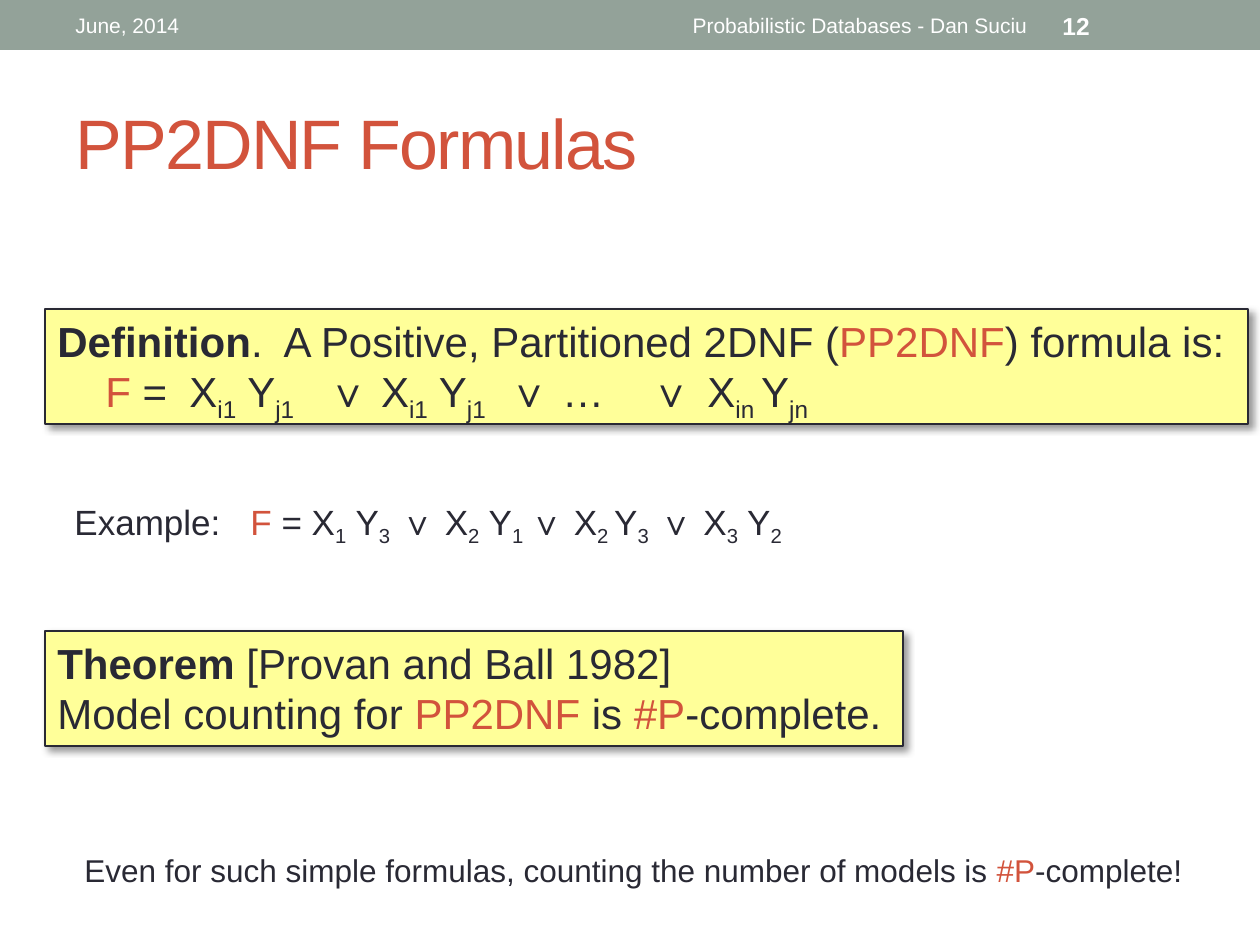
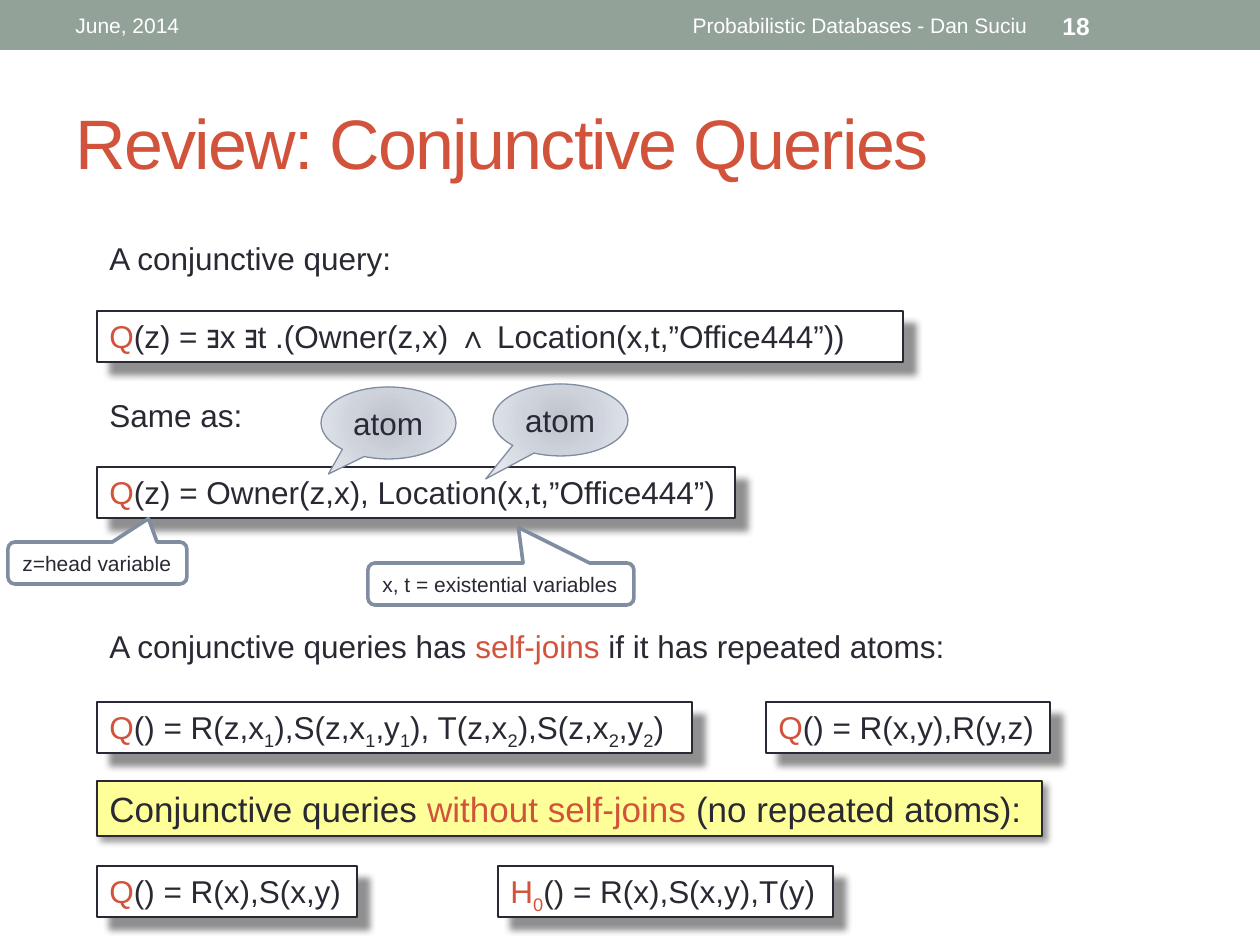
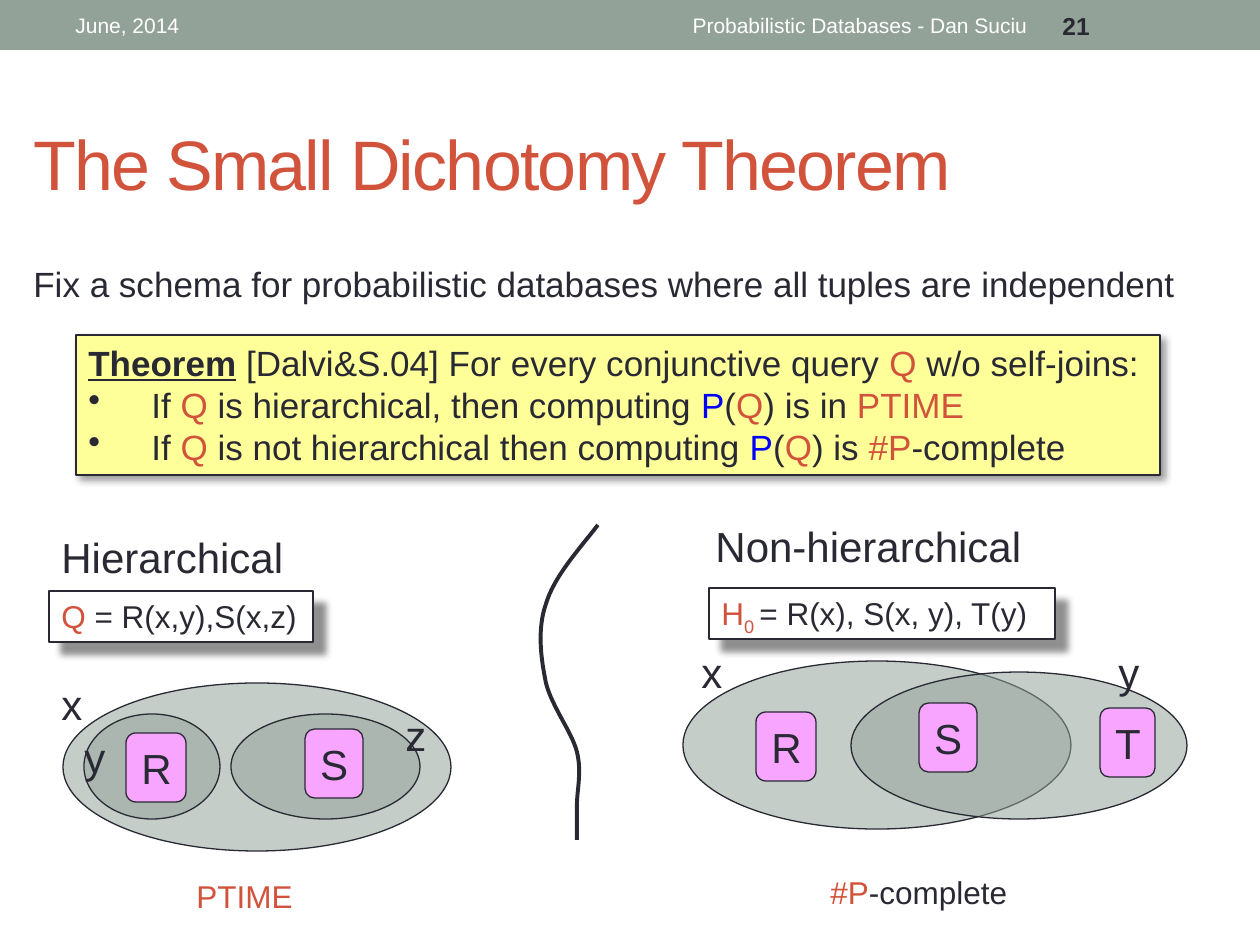
from pptx import Presentation
from pptx.dml.color import RGBColor
from pptx.enum.shapes import MSO_SHAPE as SHAPE
from pptx.enum.text import MSO_ANCHOR as ANCHOR, MSO_AUTO_SIZE as AUTO_SIZE, PP_ALIGN as ALIGN
from pptx.oxml import parse_xml
from pptx.oxml.ns import nsdecls, qn
from pptx.util import Emu, Pt
from lxml.etree import SubElement

EMU_PER_PX = 914400 / 126
FONT = "Arial"
INK, RED, BLUE, WHITE = "292934", "D2533C", "0000FF", "FFFFFF"
SAGE, YELLOW, PINK, SLATE = "93A299", "FFFF99", "F8A5FF", "808DA0"
BUBBLE_STOPS = ((0, "BEC3CB"), (45, "CDD2DB"), (100, "E3E6EB"))
HANGING = 63


def px(length):
    return Emu(round(length * EMU_PER_PX))


def rgb(hex_code):
    return RGBColor.from_string(hex_code)


# Text runs: a plain string, or text with the style that differs
def red(text):
    return text, {"color": RED}


def blue(text):
    return text, {"color": BLUE}


def bold(text, underline=False):
    return text, {"bold": True, "underline": underline}


def sub(text, color=INK):
    return text, {"color": color, "baseline": -25000}


def add_run(paragraph, piece, color):
    text, style = (piece, {}) if isinstance(piece, str) else piece
    run = paragraph.add_run()
    run.text = text
    run.font.color.rgb = rgb(style.get("color", color))
    if style.get("bold"):
        run.font.bold = True
    if style.get("underline"):
        run.font.underline = True
    if "baseline" in style:
        run.font._element.set("baseline", str(style["baseline"]))


def write(shape, lines, size, color=INK, anchor=ANCHOR.TOP, align=ALIGN.LEFT,
          wrap=False, tabs=(), bullets_from=None):
    """Fill a shape with lines, each a list of runs."""
    frame = shape.text_frame
    frame.word_wrap = wrap
    frame.auto_size = AUTO_SIZE.NONE if wrap else AUTO_SIZE.SHAPE_TO_FIT_TEXT
    frame.vertical_anchor = anchor
    for number, pieces in enumerate(lines):
        paragraph = frame.add_paragraph() if number else frame.paragraphs[0]
        paragraph.alignment = align
        properties = paragraph._p.get_or_add_pPr()
        if bullets_from is not None and number >= bullets_from:
            properties.set("marL", str(px(HANGING)))
            properties.set("indent", str(-px(HANGING)))
            SubElement(properties, qn("a:buChar"), char="•")
        if tabs:
            tab_list = SubElement(properties, qn("a:tabLst"))
            for stop in tabs:
                SubElement(tab_list, qn("a:tab"), pos=str(px(stop)), algn="l")
        paragraph.font.name = FONT
        paragraph.font.size = Pt(size)
        for piece in pieces:
            add_run(paragraph, piece, color)
    return frame


def label(slide, at, pieces, size=18, **options):
    box = slide.shapes.add_textbox(*map(px, at))
    return write(box, [pieces], size, **options)


def outlined(slide, kind, at, fill, line=INK, width=0.75):
    shape = slide.shapes.add_shape(kind, *map(px, at))
    shape.shadow.inherit = False
    shape.fill.solid()
    shape.fill.fore_color.rgb = rgb(fill)
    shape.line.color.rgb = rgb(line)
    shape.line.width = Pt(width)
    return shape


def drop_shadow(shape, distance, opacity):
    effects = shape._element.spPr.find(qn("a:effectLst"))
    shadow = SubElement(effects, qn("a:outerShdw"), blurRad=str(Pt(4)), dist=str(Pt(distance)),
                        dir="2700000", algn="tl", rotWithShape="0")
    black = SubElement(shadow, qn("a:srgbClr"), val="000000")
    SubElement(black, qn("a:alpha"), val=str(opacity * 1000))


def statement(slide, at, lines, size, **options):
    box = outlined(slide, SHAPE.RECTANGLE, at, YELLOW)
    drop_shadow(box, 3, 40)
    write(box, lines, size, **options)


def query(slide, left, top, width, *pieces):
    box = outlined(slide, SHAPE.RECTANGLE, (left, top, width, 51), WHITE)
    drop_shadow(box, 10, 43)
    write(box, [pieces], 18)


def atom_bubble(slide, left, top, tip):
    bubble = outlined(slide, SHAPE.OVAL_CALLOUT, (left, top, 135, 72), WHITE, SLATE)
    bubble.adjustments[0], bubble.adjustments[1] = tip
    stops = "".join(f'<a:gs pos="{position * 1000}"><a:srgbClr val="{color}"/></a:gs>'
                    for position, color in BUBBLE_STOPS)
    gradient = parse_xml(
        f'<a:gradFill {nsdecls("a")}><a:gsLst>{stops}</a:gsLst><a:path path="circle">'
        '<a:fillToRect l="100000" t="100000" r="100000" b="100000"/></a:path></a:gradFill>')
    properties = bubble._element.spPr
    properties.replace(properties.find(qn("a:solidFill")), gradient)
    write(bubble, [["atom"]], 18)


def remark(slide, at, tip, text):
    callout = outlined(slide, SHAPE.ROUNDED_RECTANGULAR_CALLOUT, at, WHITE, SLATE, 2.08)
    callout.adjustments[0], callout.adjustments[1] = tip
    write(callout, [[text]], 12)


def variable_set(slide, *at):
    oval = outlined(slide, SHAPE.OVAL, at, SAGE)
    color = oval._element.spPr.find(qn("a:solidFill")).find(qn("a:srgbClr"))
    SubElement(color, qn("a:alpha"), val="53000")


def relation(slide, left, top, width, name):
    tile = outlined(slide, SHAPE.ROUNDED_RECTANGLE, (left, top, width, 69), PINK)
    write(tile, [[name]], 24, anchor=ANCHOR.MIDDLE)


def variable(slide, left, top, name):
    label(slide, (left, top, 47, 63), [name], 24, anchor=ANCHOR.MIDDLE)


def curve(slide, start, *segments, steps=16):
    """Draw a chain of cubic Bezier segments as one open outline."""
    points, origin = [], start
    for first, second, end in segments:
        for step in range(1, steps + 1):
            t = step / steps
            points.append(tuple(
                px((1 - t) ** 3 * a + 3 * (1 - t) ** 2 * t * b + 3 * (1 - t) * t ** 2 * c + t ** 3 * d)
                for a, b, c, d in zip(origin, first, second, end)))
        origin = end
    builder = slide.shapes.build_freeform(px(start[0]), px(start[1]))
    builder.add_line_segments(points, close=False)
    divider = builder.convert_to_shape()
    divider.shadow.inherit = False
    divider.fill.background()
    divider.line.color.rgb = rgb(INK)
    divider.line.width = Pt(2.25)


def start_slide(deck, title, number, title_at=(63, 73, 1134, 136), number_color=WHITE):
    slide = deck.slides.add_slide(deck.slide_layouts[6])
    band = outlined(slide, SHAPE.RECTANGLE, (0, 0, 1260, 50), SAGE)
    band.line.fill.background()
    header = {"color": WHITE, "anchor": ANCHOR.MIDDLE, "wrap": True}
    label(slide, (63, 3, 399, 45), ["June, 2014"], 12, **header)
    label(slide, (473, 3, 567, 45), ["Probabilistic Databases - Dan Suciu"], 12,
          align=ALIGN.RIGHT, **header)
    label(slide, (1050, 3, 147, 45), [bold_number(number, number_color)], 14, **header)
    heading = label(slide, title_at, [title], 40, color=RED, anchor=ANCHOR.MIDDLE, wrap=True)
    heading.paragraphs[0].runs[0].font._element.set("spc", "-100")
    return slide


def bold_number(number, color):
    return str(number), {"bold": True, "color": color}


def formulas_slide(deck):
    slide = start_slide(deck, "PP2DNF Formulas", 12)
    statement(slide, (45, 309, 1203, 115), [
        [bold("Definition"), ".  A Positive, Partitioned 2DNF (", red("PP2DNF"), ") formula is:"],
        ["\t", red("F"), " =\tX", sub("i1"), " Y", sub("j1"), "\t∨ X", sub("i1"), " Y", sub("j1"),
         "\t∨ …\t∨\tX", sub("in "), "Y", sub("jn")],
    ], 24, tabs=(48, 132, 270, 451, 593, 650))
    label(slide, (62, 494, 760, 55), [
        "Example:\t", red("F"), " = X", sub("1"), " Y", sub("3"), " ∨ X", sub("2"), " Y", sub("1 "),
        "∨ X", sub("2 "), "Y", sub("3"), " ∨ X", sub("3"), " Y", sub("2")], 20, tabs=(176,))
    statement(slide, (45, 631, 858, 115), [
        [bold("Theorem"), " [Provan and Ball 1982]"],
        ["Model counting for ", red("PP2DNF"), " is ", red("#P"), "-complete."],
    ], 24)
    label(slide, (72, 845, 1125, 51), [
        "Even for such simple formulas, counting the number of models is ", red("#P"), "-complete!"])


def queries_slide(deck):
    slide = start_slide(deck, "Review: Conjunctive Queries", 18)
    left = 97
    # One query in two notations
    label(slide, (left, 233, 312, 51), ["A conjunctive query:"])
    query(slide, left, 311, 806, red("Q"), "(z) = ∃x ∃t .(Owner(z,x) ∧ Location(x,t,”Office444”))")
    label(slide, (left, 390, 160, 51), ["Same as:"])
    query(slide, left, 467, 638, red("Q"), "(z) = Owner(z,x), Location(x,t,”Office444”)")
    atom_bubble(slide, 321, 387, (-0.445, 0.71))
    atom_bubble(slide, 493, 384, (-0.554, 0.819))
    remark(slide, (8, 542, 179, 42), (0.285, -1.057), "z=head variable")
    remark(slide, (368, 563, 266, 42), (0.066, -1.345), "x, t = existential variables")
    # With and without self-joins
    label(slide, (left, 621, 881, 51), [
        "A conjunctive queries has ", red("self-joins "), "if it has repeated atoms:"])
    query(slide, left, 702, 595, red("Q"), "() = R(z,x", sub("1"), "),S(z,x", sub("1"), ",y", sub("1"),
          "), T(z,x", sub("2"), "),S(z,x", sub("2"), ",y", sub("2"), ")")
    query(slide, 766, 702, 284, red("Q"), "() = R(x,y),R(y,z)")
    statement(slide, (left, 781, 945, 55), [
        ["Conjunctive queries ", red("without self-joins "), "(no repeated atoms):"]], 20)
    query(slide, left, 866, 260, red("Q"), "() = R(x),S(x,y)")
    query(slide, 498, 866, 335, red("H"), sub("0", RED), "() = R(x),S(x,y),T(y)")


def dichotomy_slide(deck):
    slide = start_slide(deck, "The Small Dichotomy Theorem", 21, (21, 84, 1197, 158), INK)
    label(slide, (21, 256, 1177, 55), [
        "Fix a schema for probabilistic databases where all tuples are independent"],
        20, anchor=ANCHOR.MIDDLE)
    statement(slide, (76, 335, 1084, 140), [
        [bold("Theorem", underline=True), " [Dalvi&S.04] For every conjunctive query ", red("Q"),
         " w/o self-joins:"],
        ["If ", red("Q"), " is hierarchical, then computing ", blue("P"), "(", red("Q"), ") is in ",
         red("PTIME")],
        ["If ", red("Q"), " is not hierarchical then computing ", blue("P"), "(", red("Q"), ") is ",
         red("#P"), "-complete"],
    ], 20, bullets_from=1)

    # Hierarchical side
    label(slide, (49, 525, 247, 63), ["Hierarchical"], 24, anchor=ANCHOR.MIDDLE)
    query(slide, 49, 591, 264, red("Q "), "= R(x,y),S(x,z)")
    variable_set(slide, 63, 683, 388, 168)
    variable_set(slide, 84, 714, 136, 105)
    relation(slide, 126, 733, 60, "R")
    variable_set(slide, 231, 714, 189, 105)
    relation(slide, 305, 729, 58, "S")
    variable(slide, 49, 672, "x")
    variable(slide, 72, 725, "y")
    variable(slide, 393, 703, "z")
    label(slide, (184, 871, 122, 51), [red("PTIME")])

    # Divider
    curve(slide, (598, 525),
          ((577, 552), (554, 577), (546, 604)),
          ((537, 630), (541, 658), (546, 683)),
          ((552, 707), (572, 732), (577, 752)),
          ((582, 772), (577, 790), (577, 805)),
          ((577, 819), (577, 830), (577, 840)))

    # Non-hierarchical side
    label(slide, (703, 514, 331, 63), ["Non-hierarchical"], 24, anchor=ANCHOR.MIDDLE)
    query(slide, 709, 588, 346, red("H"), sub("0 ", RED), "= R(x), S(x, y), T(y)")
    variable_set(slide, 683, 661, 388, 168)
    relation(slide, 756, 712, 60, "R")
    variable_set(slide, 851, 672, 336, 147)
    relation(slide, 919, 703, 58, "S")
    relation(slide, 1100, 708, 55, "T")
    variable(slide, 689, 640, "x")
    variable(slide, 1106, 640, "y")
    label(slide, (818, 867, 204, 51), [red("#P"), "-complete"])


def main():
    deck = Presentation()
    deck.slide_width, deck.slide_height = px(1260), px(945)
    formulas_slide(deck)
    queries_slide(deck)
    dichotomy_slide(deck)
    deck.save("out.pptx")


if __name__ == "__main__":
    main()
